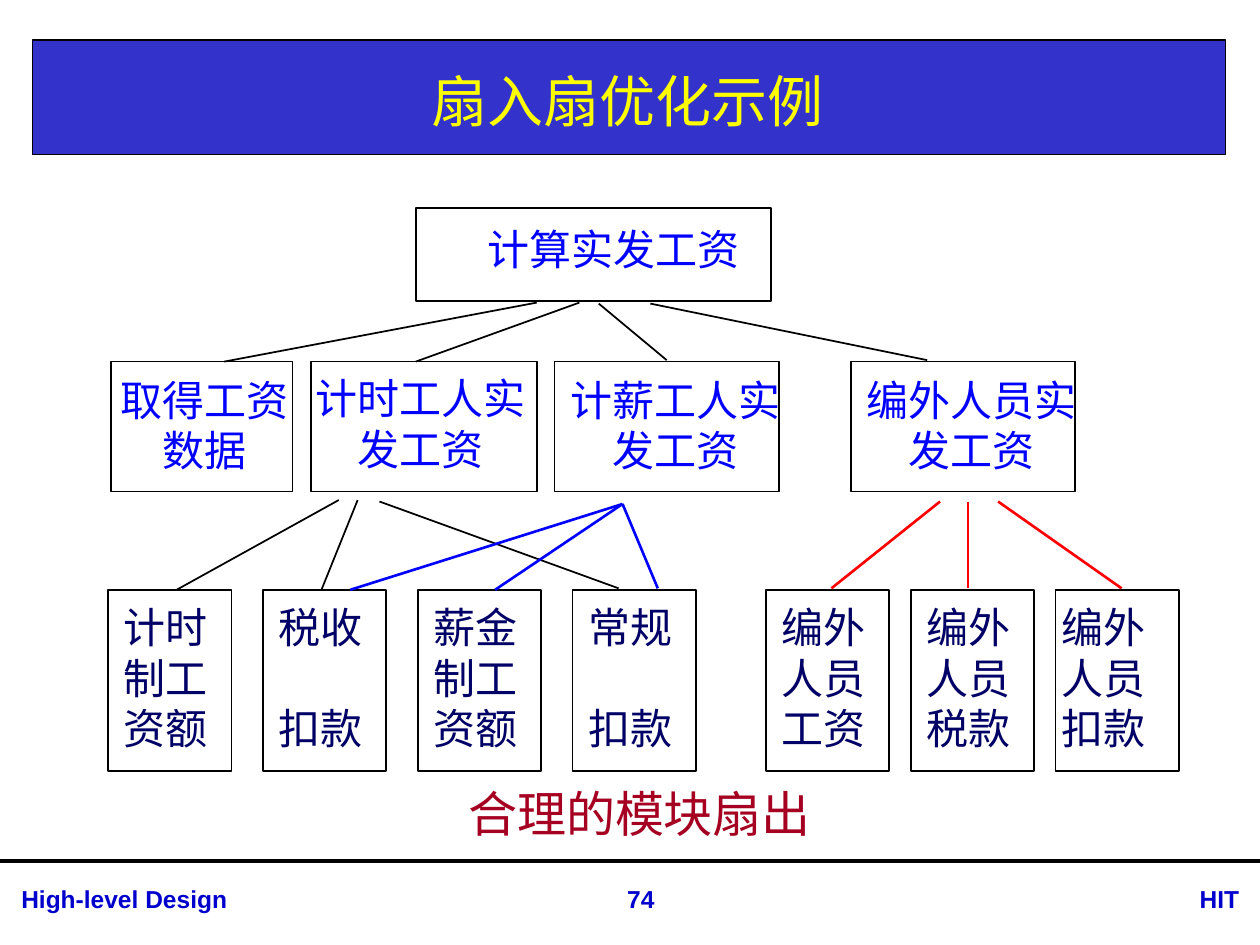
from lxml.etree import SubElement
from pptx import Presentation
from pptx.dml.color import RGBColor
from pptx.enum.shapes import MSO_CONNECTOR, MSO_SHAPE
from pptx.enum.text import MSO_ANCHOR, PP_ALIGN
from pptx.oxml.ns import qn
from pptx.util import Cm, Pt

CJK = "Noto Sans CJK SC"
BLACK, BLUE, NAVY, RED = "000000", "0000FF", "000066", "FF0000"
TITLE = {"name": CJK, "size": Pt(32)}
MODULE = {"name": CJK, "size": Pt(24)}
CAPTION = {"name": CJK, "size": Pt(28)}
FOOTER = {"name": "Arial", "size": Pt(14), "bold": True}


def color(code):
    return RGBColor.from_string(code)


class Chart:
    """Draws the parts of a structure chart on one slide, in centimetres."""

    def __init__(self, page):
        self.page = page

    def box(self, left, top, width, height, fill=None, weight=1):
        shape = self.page.shapes.add_shape(
            MSO_SHAPE.RECTANGLE, Cm(left), Cm(top), Cm(width), Cm(height))
        shape.shadow.inherit = False
        if fill:
            shape.fill.solid()
            shape.fill.fore_color.rgb = color(fill)
        else:
            shape.fill.background()
        shape.line.color.rgb = color(BLACK)
        shape.line.width = Pt(weight)

    def text(self, left, top, width, height, lines, style, ink,
             align=PP_ALIGN.CENTER, gap=0, **frame_format):
        """Write lines as paragraphs; gap is the space before later ones."""
        box = self.page.shapes.add_textbox(
            Cm(left), Cm(top), Cm(width), Cm(height))
        frame = box.text_frame
        for key, value in {"word_wrap": True, **frame_format}.items():
            setattr(frame, key, value)
        for index, line in enumerate(lines):
            para = frame.paragraphs[0] if index == 0 else frame.add_paragraph()
            para.alignment = align
            if index and gap:
                para.space_before = Pt(gap)
            span = para.add_run()
            span.text = line
            for key, value in style.items():
                setattr(span.font, key, value)
            span.font.color.rgb = color(ink)
            east_asian = SubElement(span.font._element, qn("a:ea"))
            east_asian.set("typeface", style["name"])

    def line(self, start, end, ink=BLACK, weight=1):
        connector = self.page.shapes.add_connector(
            MSO_CONNECTOR.STRAIGHT, *map(Cm, start + end))
        connector.line.color.rgb = color(ink)
        connector.line.width = Pt(weight)
        SubElement(connector._element.spPr, qn("a:effectLst"))


def draw_frame(chart):
    chart.box(0.66, 0.81, 24.05, 2.31, "3333CC", 0.75)
    chart.line((0, 17.35), (25.4, 17.35), weight=2.25)
    for left, width, words, align in (
            (0.18, 9.78, "High-level Design", PP_ALIGN.LEFT),
            (22.61, 2.62, "HIT", PP_ALIGN.RIGHT),
            (11.61, 2.62, "74", PP_ALIGN.CENTER)):
        chart.text(left, 17.7, width, 0.86, [words], FOOTER, "0000CC", align)
    chart.text(0.66, 0.91, 24, 2.21, ["扇入扇优化示例"], TITLE, "FFFF00",
               vertical_anchor=MSO_ANCHOR.MIDDLE)


def draw_upper_modules(chart):
    chart.box(8.38, 4.19, 7.16, 1.88)
    chart.text(8.74, 4.39, 7.24, 1.27, ["计算实发工资"], MODULE, BLUE)
    # box left, box width, label left, label top, label width, words
    for left, width, label_left, label_top, label_width, words in (
            (2.24, 3.66, 2.18, 7.42, 3.9, "取得工资数据"),
            (6.27, 4.55, 5.79, 7.39, 5.36, "计时工人实发工资"),
            (11.18, 4.52, 11.15, 7.42, 4.95, "计薪工人实发工资"),
            (17.15, 4.52, 17.12, 7.42, 4.93, "编外人员实发工资")):
        chart.box(left, 7.29, width, 2.62)
        chart.text(label_left, label_top, label_width, 2.31, [words],
                   MODULE, BLUE)


def draw_leaf_modules(chart):
    groups = (
        (2.18, 3.12, ("计时 制工 资额", "税收 扣款", "薪金 制工 资额", "常规 扣款")),
        (15.44, 2.92, ("编外 人员 工资", "编外 人员 税款", "编外 人员 扣款")))
    for first, pitch, names in groups:
        for index, name in enumerate(names):
            left = first + pitch * index
            lines = name.split()
            shift = -0.13 if name == "编外 人员 扣款" else 0.06
            chart.box(left, 11.89, 2.49, 3.66)
            chart.text(left + shift, 12.01, 2.21, 3.33, lines, MODULE, NAVY,
                       gap=28.8 if len(lines) == 2 else 0, word_wrap=False)


def draw_calls(chart):
    black_calls = (
        ((12.07, 6.12), (13.44, 7.26)), ((13.11, 6.12), (18.69, 7.26)),
        ((4.52, 7.29), (10.82, 6.1)), ((8.38, 7.29), (11.68, 6.1)),
        ((7.65, 10.11), (12.47, 11.86)), ((3.56, 11.89), (6.83, 10.08)),
        ((6.48, 11.89), (7.21, 10.08)))
    for start, end in black_calls:
        chart.line(start, end)
    for end in ((13.26, 11.86), (9.98, 11.89), (7.06, 11.89)):
        chart.line((12.55, 10.16), end, BLUE, 1.5)
    for upper, lower in ((20.12, 22.61), (19.51, 19.51), (18.95, 16.76)):
        chart.line((upper, 10.11), (lower, 11.86), RED, 1.5)


def main():
    deck = Presentation()
    deck.slide_width, deck.slide_height = Cm(25.4), Cm(19.05)
    chart = Chart(deck.slides.add_slide(deck.slide_layouts[6]))
    draw_frame(chart)
    draw_upper_modules(chart)
    draw_leaf_modules(chart)
    draw_calls(chart)
    chart.text(7.26, 15.67, 9.37, 1.45, ["合理的模块扇出"], CAPTION, "A50021",
               PP_ALIGN.LEFT, margin_left=Cm(2.18), margin_right=0)
    deck.save("out.pptx")


if __name__ == "__main__":
    main()
